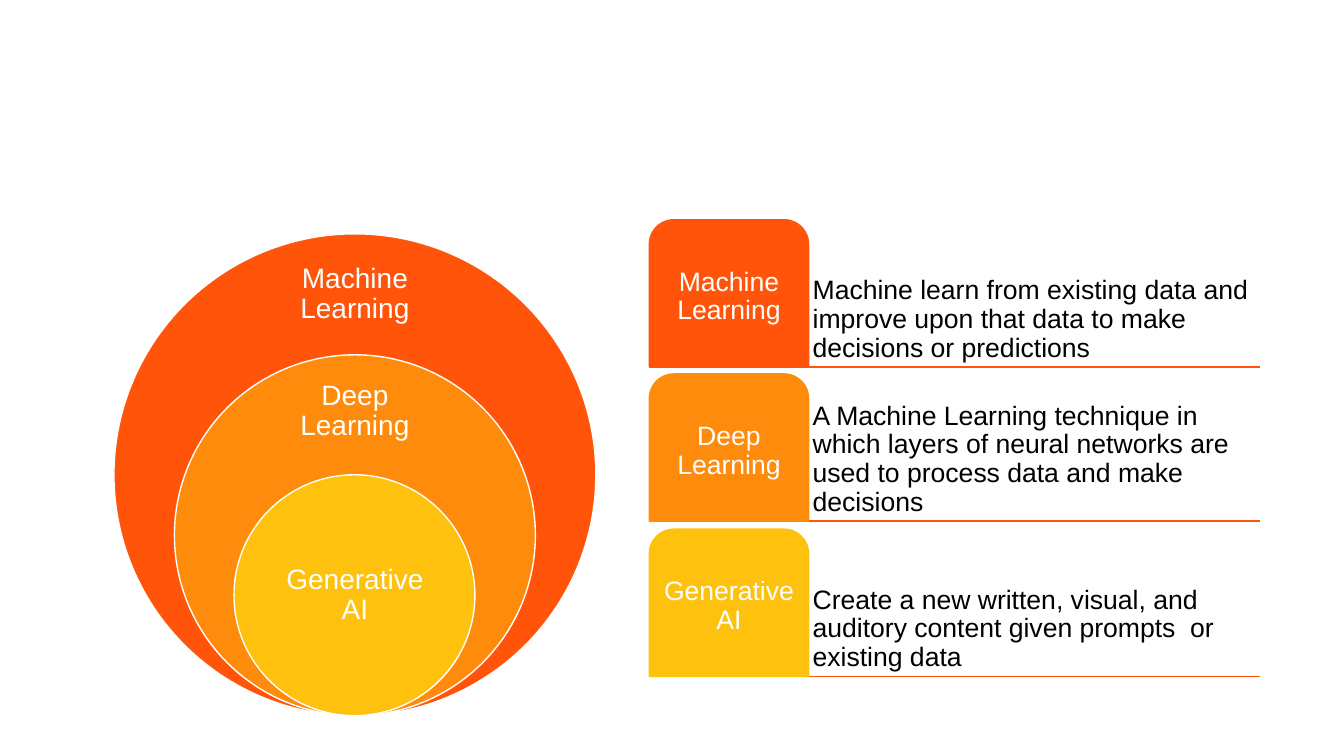
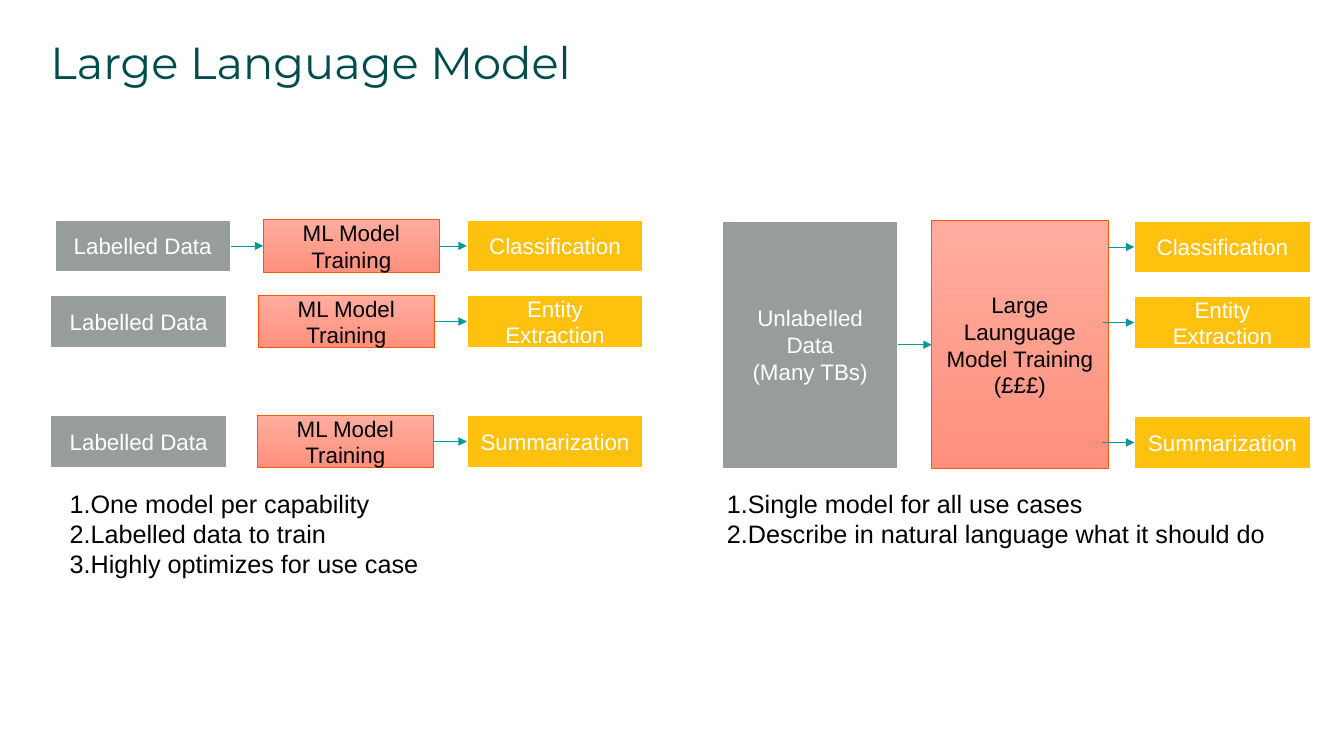
from lxml.etree import SubElement
from pptx import Presentation
from pptx.dml.color import RGBColor
from pptx.enum.shapes import MSO_CONNECTOR, MSO_SHAPE
from pptx.enum.text import MSO_ANCHOR, MSO_AUTO_SIZE, PP_ALIGN
from pptx.oxml.ns import qn
from pptx.util import Pt

PX = 9144  # 100 px to the inch
WHITE, BLACK, GREY, TEAL = "FFFFFF", "000000", "979D9D", "009999"
RED, ORANGE, YELLOW, INK = "FF540A", "FE8B0B", "FEC10D", "004C4C"
BLUSH = ("FFAD9F", "FF907D")
BOX_W, BOX_H = 175, 52
ROWS = (0, 75, 194)
TASKS = ("Classification", "Entity Extraction", "Summarization")
FIELDS = (("Machine Learning", RED), ("Deep Learning", ORANGE),
          ("Generative AI", YELLOW))


# Shared helpers
def px(*values):
    return [value * PX for value in values]


def rgb(code):
    return RGBColor.from_string(code)


def apply(item, values):
    for name, value in values.items():
        setattr(item, name, value)


def write(shape, text, size, color, font="Arial", pad=None, align=PP_ALIGN.CENTER,
          anchor=MSO_ANCHOR.MIDDLE, gap=1.0):
    frame = shape.text_frame
    apply(frame, {"text": text, "word_wrap": True, "vertical_anchor": anchor,
                  "auto_size": MSO_AUTO_SIZE.NONE})
    if pad is not None:
        sides = ("left", "top", "right", "bottom")
        apply(frame, {f"margin_{side}": pad * PX for side in sides})
    for para in frame.paragraphs:
        apply(para, {"alignment": align, "line_spacing": gap,
                     "space_before": Pt(0), "space_after": Pt(0)})
        for run in para.runs:
            apply(run.font, {"name": font, "size": Pt(size)})
            run.font.color.rgb = rgb(color)


def label(slide, box, text, size, color, **style):
    shape = slide.shapes.add_textbox(*px(*box))
    write(shape, text, size, color, gap=0.9, **style)


def draw(slide, kind, box, fill, edge, width):
    shape = slide.shapes.add_shape(kind, *px(*box))
    shape.shadow.inherit = False
    if isinstance(fill, tuple):
        shape.fill.gradient()
        shape.fill.gradient_angle = 270
        for stop, code in zip(shape.fill.gradient_stops, fill):
            stop.color.rgb = rgb(code)
    else:
        shape.fill.solid()
        shape.fill.fore_color.rgb = rgb(fill)
    shape.line.color.rgb = rgb(edge)
    shape.line.width = Pt(width)
    return shape


def rule(slide, ends, color, width):
    line = slide.shapes.add_connector(MSO_CONNECTOR.STRAIGHT, *px(*ends))
    line.line.color.rgb = rgb(color)
    line.line.width = Pt(width)
    SubElement(line.element.spPr, qn("a:effectLst"))
    return line


def arrow(slide, goal, start=None, left=0):
    """Point at the left side of goal, from a box or from a left edge."""
    y = (goal.top + goal.height // 2) // PX
    line = rule(slide, (left, y, goal.left // PX, y), TEAL, 0.5)
    SubElement(line.element.spPr.find(qn("a:ln")), qn("a:tailEnd"), type="triangle")
    if start is not None:
        line.begin_connect(start, 3)
    line.end_connect(goal, 1)


def block(slide, box, text, fill):
    soft = fill == BLUSH
    edge, width = (RED, 0.5) if soft else (WHITE, 1.5)
    shape = draw(slide, MSO_SHAPE.RECTANGLE, box, fill, edge, width)
    write(shape, text, 16, BLACK if soft else WHITE)
    return shape


def place(holder, box):
    apply(holder, dict(zip(("left", "top", "width", "height"), px(*box))))


def title(slide, text):
    holder = slide.shapes.title
    place(holder, (50, 40, 1233, 49))
    write(holder, text, 32, INK, font="Montserrat", pad=0,
          align=PP_ALIGN.LEFT, anchor=MSO_ANCHOR.TOP, gap=0.9)


def points(holder, box, items):
    place(holder, box)
    write(holder, "\n".join(items), 18, BLACK, align=PP_ALIGN.LEFT,
          anchor=MSO_ANCHOR.TOP)
    for para in holder.text_frame.paragraphs:
        props = para._p.get_or_add_pPr()
        props.set("marL", "0")
        props.set("indent", "0")
        SubElement(props, qn("a:buAutoNum"), type="arabicPeriod")


# Slide 1: nested fields of AI
def rings(slide, x, y, size):
    spots = ((24, 72), (23, 67), (60, 120))
    for i, ((name, color), (drop, tall)) in enumerate(zip(FIELDS, spots)):
        wide = size * (4 - i) // 4
        left, top = x + (size - wide) // 2, y + size - wide
        draw(slide, MSO_SHAPE.OVAL, (left, top, wide, wide), color, WHITE, 1)
        label(slide, (x + size // 2 - 84, top + drop, 168, tall), name, 20,
              WHITE, pad=10)


def cards(slide, x, y, wide, notes):
    tab, tall = 158, 146
    for i, ((name, color), note) in enumerate(zip(FIELDS, notes)):
        top = y + i * 307 // 2
        rule(slide, (x, top + tall, x + wide, top + tall), RED, 1)
        label(slide, (x + tab, top, wide - tab, tall), note, 19, BLACK, pad=4,
              align=PP_ALIGN.LEFT, anchor=MSO_ANCHOR.BOTTOM)
        shape = draw(slide, MSO_SHAPE.ROUND_2_SAME_RECTANGLE,
                     (x, top, tab, tall), color, color, 1)
        write(shape, name, 19, WHITE, pad=4, gap=0.9)


def fields(deck):
    slide = deck.slides.add_slide(deck.slide_layouts[6])
    rings(slide, 113, 232, 478)
    cards(slide, 644, 218, 606, (
        "Machine learn from existing data and improve upon that data to make "
        "decisions or predictions",
        "A Machine Learning technique in which layers of neural networks are "
        "used to process data and make decisions",
        "Create a new written, visual, and auditory content given prompts  or "
        "existing data"))


# Slide 2: one model per task against one large model
def outputs(slide, x, y):
    return [block(slide, (x, y + row, BOX_W, BOX_H), task, YELLOW)
            for row, task in zip(ROWS, TASKS)]


def single(slide, x, y):
    goals = outputs(slide, x + 413, y)
    shifts = ((4, 211), (0, 206), (0, 205))
    for i, (row, goal, (near, far)) in enumerate(zip(ROWS, goals, shifts)):
        data = block(slide, (x + near, y + row, BOX_W, BOX_H), "Labelled Data", GREY)
        model = block(slide, (x + far, y + row, BOX_W, BOX_H),
                      "ML Model Training", BLUSH)
        if i == 0:
            arrow(slide, model, data)
        arrow(slide, goal, model)


def large(slide, x, y):
    tall = ROWS[-1] + BOX_H
    data = block(slide, (x, y, BOX_W, tall), "Unlabelled Data\n(Many TBs)", GREY)
    model = block(slide, (x + 208, y, BOX_W, tall),
                  "Large Launguage Model Training\n(£££)", BLUSH)
    arrow(slide, model, data)
    for goal, left in zip(outputs(slide, x + 409, y), (383, 378, 377)):
        arrow(slide, goal, left=x + left)


def models(deck):
    slide = deck.slides.add_slide(deck.slide_layouts[3])
    title(slide, "Large Language Model")
    single(slide, 50, 218)
    large(slide, 716, 219)
    points(slide.placeholders[1], (59, 479, 640, 101), (
        "One model per capability", "Labelled data to train",
        "Highly optimizes for use case"))
    points(slide.placeholders[2], (711, 479, 620, 71), (
        "Single model for all use cases",
        "Describe in natural language what it should do"))


def main():
    deck = Presentation()
    deck.slide_width, deck.slide_height = px(1333, 750)
    fields(deck)
    models(deck)
    deck.save("out.pptx")


if __name__ == "__main__":
    main()
